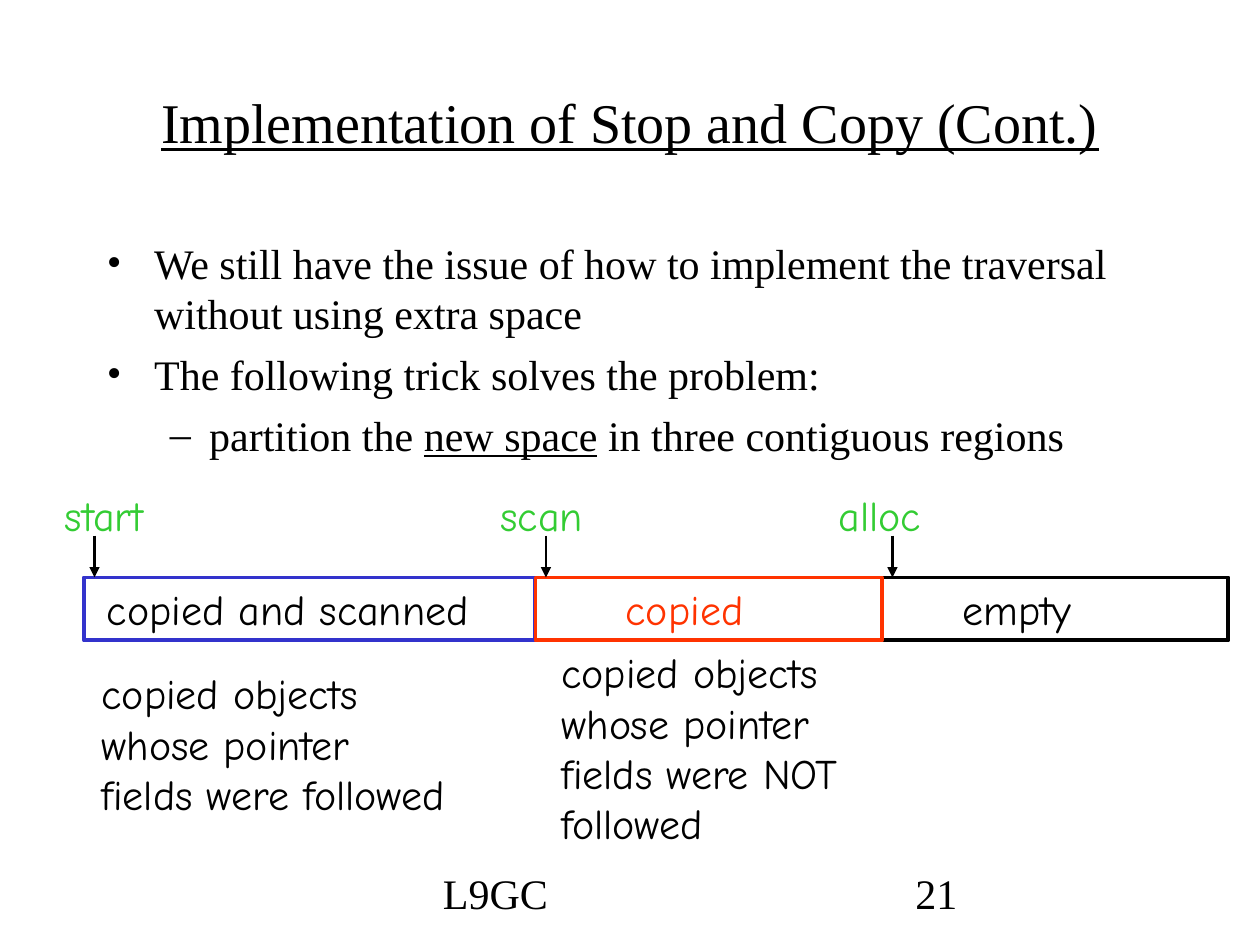
import dataclasses

import pptx
import pptx.dml.color
import pptx.enum.shapes
import pptx.enum.text
import pptx.oxml
import pptx.util

Pt = pptx.util.Pt
RGB = pptx.dml.color.RGBColor.from_string


@dataclasses.dataclass(frozen=True)
class Theme:
    """Fonts, sizes and colours of the slide."""
    serif: str = "Times New Roman"
    comic: str = "Comic Neue"
    title_size: int = 32
    text_size: int = 24
    black: str = "000000"
    blue: str = "3333CC"
    red: str = "FF3300"
    green: str = "33CC33"
    border: float = 2.25
    arrow: float = 1.5


THEME = Theme()


def append_xml(parent, tag, **attributes):
    """Append an empty DrawingML element and return it."""
    element = parent.makeelement(pptx.oxml.ns.qn(tag), attributes)
    parent.append(element)
    return element


def style(run, font, size, color, underline=False):
    """Format one run."""
    run.font.name = font
    run.font.size = Pt(size)
    run.font.color.rgb = RGB(color)
    if underline:
        run.font.underline = True


def add_text(slide, box, text, font, color=THEME.black, size=THEME.text_size,
             wrap=False, underline=False):
    """Place formatted text in a box and return its frame."""
    frame = slide.shapes.add_textbox(*map(Pt, box)).text_frame
    frame.word_wrap = wrap
    frame.text = text
    for paragraph in frame.paragraphs:
        for run in paragraph.runs:
            style(run, font, size, color, underline)
    return frame


def add_title(slide, box, text):
    """Place the centred, underlined title."""
    frame = add_text(slide, box, text, THEME.serif, size=THEME.title_size,
                     wrap=True, underline=True)
    frame.vertical_anchor = pptx.enum.text.MSO_ANCHOR.MIDDLE
    frame.paragraphs[0].alignment = pptx.enum.text.PP_ALIGN.CENTER


def add_bullets(slide, box, points):
    """Place bullets given as a level and (text, underlined) pieces."""
    markers = (("•", 27, 27), ("–", 58.5, 22.5))
    frame = slide.shapes.add_textbox(*map(Pt, box)).text_frame
    frame.word_wrap = True
    for index, (level, pieces) in enumerate(points):
        paragraph = frame.add_paragraph() if index else frame.paragraphs[0]
        paragraph.level = level
        paragraph.space_before = Pt(6)
        marker, margin, hanging = markers[level]
        properties = paragraph._p.get_or_add_pPr()
        properties.set("marL", str(Pt(margin)))
        properties.set("indent", str(-Pt(hanging)))
        append_xml(properties, "a:buFont", typeface=THEME.serif)
        append_xml(properties, "a:buChar", char=marker)
        for text, underline in pieces:
            run = paragraph.add_run()
            run.text = text
            style(run, THEME.serif, THEME.text_size, THEME.black, underline)


def add_pointer(slide, x, top, bottom):
    """Draw a downward arrow to the edge of the memory bar."""
    pointer = slide.shapes.add_connector(
        pptx.enum.shapes.MSO_CONNECTOR.STRAIGHT, Pt(x), Pt(top), Pt(x), Pt(bottom))
    pointer.line.color.rgb = RGB(THEME.black)
    pointer.line.width = Pt(THEME.arrow)
    append_xml(pointer.line._get_or_add_ln(), "a:tailEnd", type="triangle")
    append_xml(pointer._element.spPr, "a:effectLst")


def add_region(slide, box, region):
    """Draw one region of the new space with its pointer, label and note."""
    left, top, width, height = box
    outline = slide.shapes.add_shape(
        pptx.enum.shapes.MSO_SHAPE.RECTANGLE, *map(Pt, box))
    outline.shadow.inherit = False
    outline.fill.background()
    outline.line.color.rgb = RGB(region["border"])
    outline.line.width = Pt(THEME.border)
    add_pointer(slide, left + 6, top - 24, top)
    add_text(slide, (left + region["pointer_shift"], top - 54, 68, height),
             region["pointer"], THEME.comic, THEME.green)
    add_text(slide, (left + region["label_shift"], top, region["label_width"], height),
             region["label"], THEME.comic, region["ink"])
    if "note" in region:
        shift, drop = region["note_shift"]
        lines = region["note"].count("\n") + 1
        add_text(slide, (left + shift, top + drop, 216, 7.2 + 28.8 * lines),
                 region["note"], THEME.comic)


def add_new_space(slide, box):
    """Lay the three contiguous regions side by side, red border on top."""
    left, top, width, height = box
    narrow = 198
    wide = width - 2 * narrow
    scanned = dict(border=THEME.blue, ink=THEME.black, label="copied and scanned",
                   label_shift=6, label_width=228, pointer="start", pointer_shift=-18,
                   note="copied objects\nwhose pointer\nfields were followed",
                   note_shift=(3, 48))
    copied = dict(border=THEME.red, ink=THEME.red, label="copied",
                  label_shift=44.5, label_width=88, pointer="scan", pointer_shift=-27,
                  note="copied objects\nwhose pointer\nfields were NOT\nfollowed",
                  note_shift=(7.75, 36))
    empty = dict(border=THEME.black, ink=THEME.black, label="empty",
                 label_shift=39, label_width=84, pointer="alloc", pointer_shift=-32)
    add_region(slide, (left, top, wide, height), scanned)
    add_region(slide, (left + wide + narrow, top, narrow, height), empty)
    add_region(slide, (left + wide, top, narrow, height), copied)


def add_footer(slide, box, course, number):
    """Place the course label and the slide number."""
    left, top, width, height = box
    add_text(slide, (left, top, 228, height), course, THEME.serif, wrap=True)
    add_text(slide, (left + width - 150, top, 150, height), number, THEME.serif, wrap=True)


def main():
    """Build and save the slide."""
    deck = pptx.Presentation()
    deck.slide_width, deck.slide_height = Pt(720), Pt(540)
    slide = deck.slides.add_slide(deck.slide_layouts[6])
    add_title(slide, (54, 24, 612, 90), "Implementation of Stop and Copy (Cont.)")
    add_bullets(slide, (54, 132, 612, 151), [
        (0, [("We still have the issue of how to implement the traversal "
              "without using extra space", False)]),
        (0, [("The following trick solves the problem:", False)]),
        (1, [("partition the ", False), ("new space", True),
             (" in three contiguous regions", False)]),
    ])
    add_new_space(slide, (48, 330, 654, 36))
    add_footer(slide, (246, 492, 420, 36), "L9GC", "21")
    deck.save("out.pptx")


if __name__ == "__main__":
    main()
